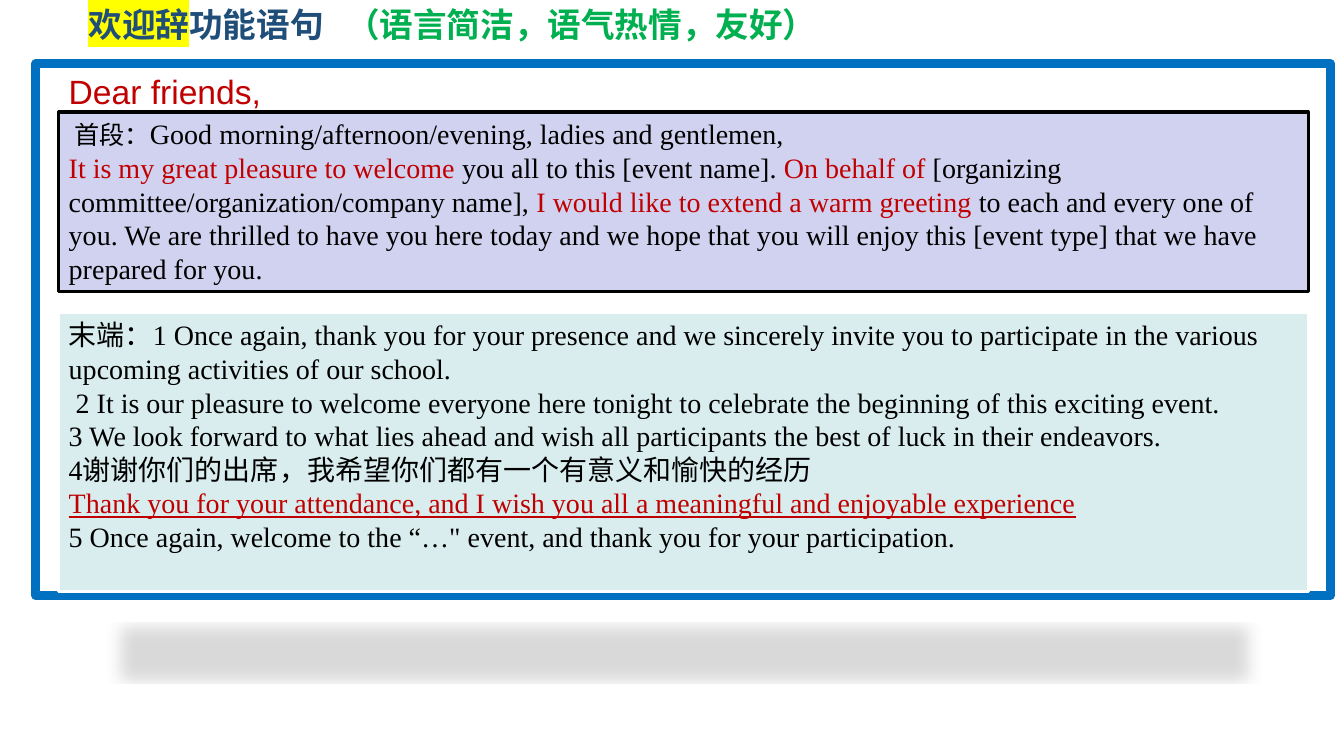
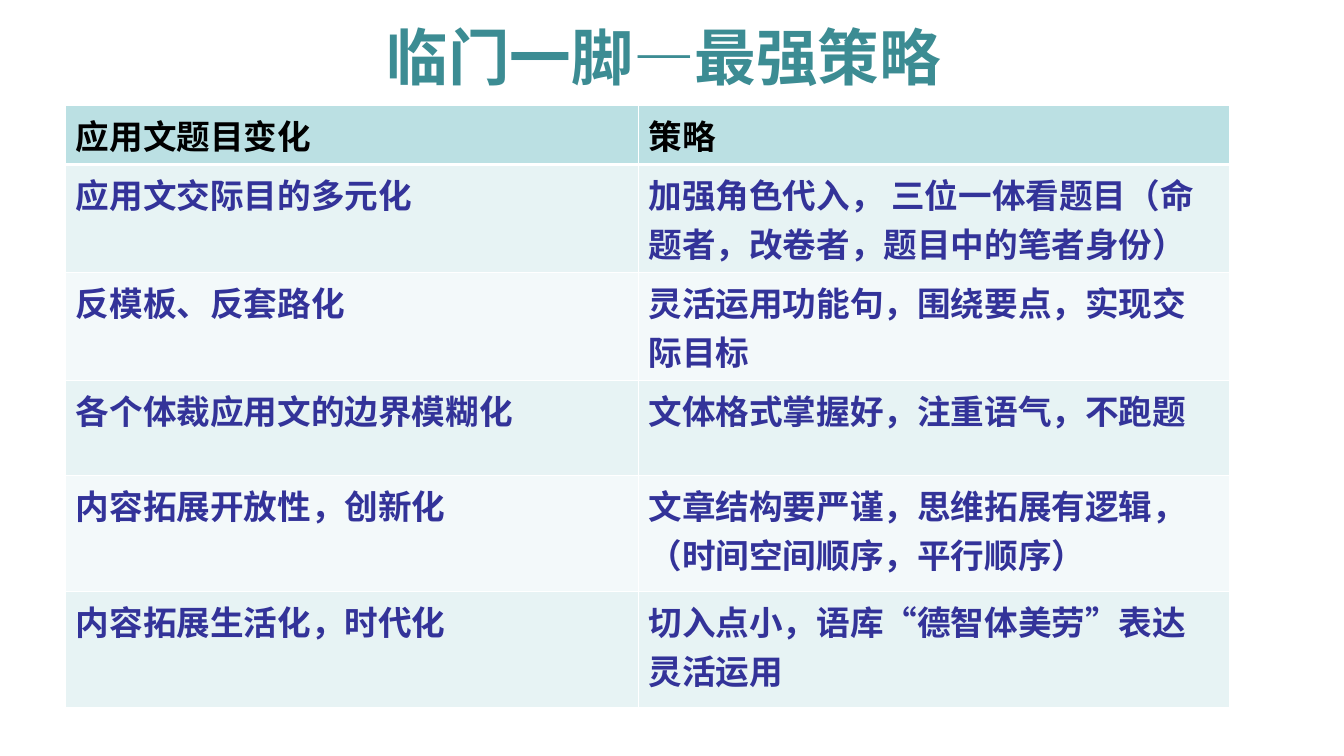
import pptx
import pptx.util
import pptx.dml.color
import pptx.enum.shapes
import pptx.enum.text
import pptx.oxml
import pptx.oxml.ns

Pt = pptx.util.Pt
RGBColor = pptx.dml.color.RGBColor
Align = pptx.enum.text.PP_ALIGN
Anchor = pptx.enum.text.MSO_ANCHOR
qn = pptx.oxml.ns.qn

BLACK = RGBColor(0, 0, 0)
WHITE = RGBColor(255, 255, 255)
RED = RGBColor(0xC0, 0, 0)
BLUE = RGBColor(0, 0x70, 0xC0)
NAVY = RGBColor(0x1F, 0x4E, 0x79)
GREEN = RGBColor(0, 0xB0, 0x50)
YELLOW = RGBColor(255, 255, 0)
LILAC = RGBColor(0xD1, 0xD1, 0xF0)
MINT = RGBColor(0xD9, 0xED, 0xEE)
TEAL = RGBColor(0x3C, 0x8C, 0x93)
INDIGO = RGBColor(0x33, 0x33, 0x99)
HEAD = RGBColor(0xBB, 0xE0, 0xE3)
BANDS = RGBColor(0xE7, 0xF3, 0xF4), RGBColor(0xF3, 0xF9, 0xFA)

SANS, SERIF, HAN = "Arial", "Times New Roman", "Noto Sans CJK SC"

OPEN = [
    [(" 首段：", {"size": 18}),
     ("Good morning/afternoon/evening, ladies and gentlemen,", {})],
    [("It is my great pleasure to welcome ", {"color": RED}),
     ("you all to this [event name]. ", {}),
     ("On behalf of ", {"color": RED}),
     ("[organizing committee/organization/company name], ", {}),
     ("I would like to extend a warm greeting ", {"color": RED}),
     ("to each and every one of you. We are thrilled to have you here today and we "
      "hope that you will enjoy this [event type] that we have prepared for you.", {})],
]
CLOSE = [
    [("末端：1 Once again, thank you for your presence and we sincerely invite you to "
      "participate in the various upcoming activities of our school.", {})],
    [(" 2 It is our pleasure to welcome everyone here tonight to celebrate the "
      "beginning of this exciting event.", {})],
    [("3 We look forward to what lies ahead and wish all participants the best of "
      "luck in their endeavors.", {})],
    [("4谢谢你们的出席，我希望你们都有一个有意义和愉快的经历", {})],
    [("Thank you for your attendance, and I wish you all a meaningful and enjoyable "
      "experience", {"color": RED, "under": True})],
    [("5 Once again, welcome to the “…\" event, and thank you for your "
      "participation.", {})],
]
ROWS = [
    ("应用文题目变化", "策略", 41),
    ("应用文交际目的多元化", "加强角色代入， 三位一体看题目（命题者，改卷者，题目中的笔者身份）", 77),
    ("反模板、反套路化", "灵活运用功能句，围绕要点，实现交际目标", 77),
    ("各个体裁应用文的边界模糊化", "文体格式掌握好，注重语气，不跑题", 68),
    ("内容拓展开放性，创新化", "文章结构要严谨，思维拓展有逻辑，（时间空间顺序，平行顺序）", 83),
    ("内容拓展生活化，时代化", "切入点小，语库“德智体美劳”表达灵活运用", 83),
]


def write(para, text, size=20, color=BLACK, font=SERIF, bold=False, under=False,
          mark=None):
    """Add one run; mark is the highlight colour."""
    run = para.add_run()
    run.text = text
    face = run.font
    face.size, face.bold, face.underline = Pt(size), bold, under
    face.color.rgb = color
    face.name = font
    props = run._r.get_or_add_rPr()
    latin = props.find(qn("a:latin"))
    east = props.makeelement(qn("a:ea"), {"typeface": HAN})
    latin.addnext(east)
    if mark is not None:
        light = props.makeelement(qn("a:highlight"), {})
        light.append(light.makeelement(qn("a:srgbClr"), {"val": str(mark)}))
        latin.addprevious(light)


def place(shape, box):
    shape.left, shape.top, shape.width, shape.height = (Pt(n) for n in box)


def title(slide, box, runs, align, space=1.0, tab=None):
    shape = slide.shapes.title
    place(shape, box)
    frame = shape.text_frame
    frame.word_wrap = True
    frame.auto_size = pptx.enum.text.MSO_AUTO_SIZE.NONE
    frame.vertical_anchor = Anchor.MIDDLE
    para = frame.paragraphs[0]
    para.alignment, para.line_spacing = align, space
    if tab:
        props = para._p.get_or_add_pPr()
        tabs = props.makeelement(qn("a:tabLst"), {})
        tabs.append(tabs.makeelement(qn("a:tab"), {"pos": str(Pt(tab)), "algn": "l"}))
        props.append(tabs)
    for text, form in runs:
        write(para, text, bold=True, **form)


def panel(slide, box, line, width, fill=None):
    shape = slide.shapes.add_shape(
        pptx.enum.shapes.MSO_SHAPE.RECTANGLE, *(Pt(n) for n in box))
    shape.shadow.inherit = False
    shape.line.color.rgb = line
    shape.line.width = Pt(width)
    if fill is None:
        shape.fill.background()
    else:
        shape.fill.solid()
        shape.fill.fore_color.rgb = fill
    return shape


def drop(shape):
    """Cast a flat, mirrored shadow below the shape."""
    effects = shape._element.spPr.find(qn("a:effectLst"))
    effects.append(pptx.oxml.parse_xml(
        f'<a:outerShdw {pptx.oxml.ns.nsdecls("a")} blurRad="{Pt(12)}" '
        f'dist="{Pt(25)}" dir="5400000" sx="90000" sy="-19000" rotWithShape="0">'
        '<a:srgbClr val="000000"><a:alpha val="15000"/></a:srgbClr></a:outerShdw>'))


def speech(slide, box, paras, line, fill):
    shape = panel(slide, box, line, 2.25, fill)
    drop(shape)
    frame = shape.text_frame
    frame.word_wrap = True
    frame.vertical_anchor = Anchor.TOP
    for i, runs in enumerate(paras):
        para = frame.add_paragraph() if i else frame.paragraphs[0]
        para.alignment, para.line_spacing = Align.LEFT, Pt(24)
        for text, form in runs:
            write(para, text, **form)


def letter(slide, box):
    """Framed letter: greeting, opening and closing panels."""
    left, top, width, height = box
    panel(slide, box, BLUE, 6)
    inner, wide = left + 16.5, width - 32.5
    speech(slide, (inner, top + 34.5, wide, 128), OPEN, BLACK, LILAC)
    speech(slide, (inner, top + 178, wide, 199), CLOSE, WHITE, MINT)
    greet = slide.shapes.add_textbox(Pt(inner), Pt(top + 1.5), Pt(484), Pt(36))
    greet.text_frame.word_wrap = True
    write(greet.text_frame.paragraphs[0], "Dear friends,", size=24, color=RED, font=SANS)


def edge(cell, widths):
    """Draw white borders, given as widths by side."""
    props = cell._tc.get_or_add_tcPr()
    for side in "LRTB":
        props.append(pptx.oxml.parse_xml(
            f'<a:ln{side} {pptx.oxml.ns.nsdecls("a")} w="{Pt(widths.get(side, 1))}">'
            f'<a:solidFill><a:srgbClr val="{WHITE}"/></a:solidFill></a:ln{side}>'))


def grid(slide, box, cols):
    table = slide.shapes.add_table(len(ROWS), len(cols), *(Pt(n) for n in box)).table
    for col, width in zip(table.columns, cols):
        col.width = Pt(width)
    for i, (*texts, high) in enumerate(ROWS):
        table.rows[i].height = Pt(high)
        for j, text in enumerate(texts):
            cell = table.cell(i, j)
            edge(cell, {"B": 3} if i == 0 else {"T": 3} if i == 1 else {})
            cell.fill.solid()
            cell.fill.fore_color.rgb = BANDS[(i - 1) % 2] if i else HEAD
            write(cell.text_frame.paragraphs[0], text, size=24, font=SANS,
                  color=INDIGO if i else BLACK, bold=True)


def welcome(slide):
    base = {"size": 24, "font": HAN}
    title(slide, (56, -8, 819, 54), [
        ("欢迎辞", {**base, "color": NAVY, "mark": YELLOW}),
        ("功能语句\t", {**base, "color": NAVY}),
        ("（语言简洁，语气热情，友好）", {**base, "color": GREEN}),
    ], Align.LEFT, space=0.9, tab=184)
    letter(slide, (25.5, 45.5, 925, 380))


def tactics(slide):
    title(slide, (42.5, -5, 864, 90),
          [("临门一脚—最强策略", {"size": 44, "font": SANS, "color": TEAL})], Align.CENTER)
    grid(slide, (47, 75.5, 831, sum(row[-1] for row in ROWS)), (409, 422))


def main():
    deck = pptx.Presentation()
    deck.slide_width, deck.slide_height = Pt(960), Pt(540)
    for build in (welcome, tactics):
        build(deck.slides.add_slide(deck.slide_layouts[5]))
    deck.save("out.pptx")


if __name__ == "__main__":
    main()
